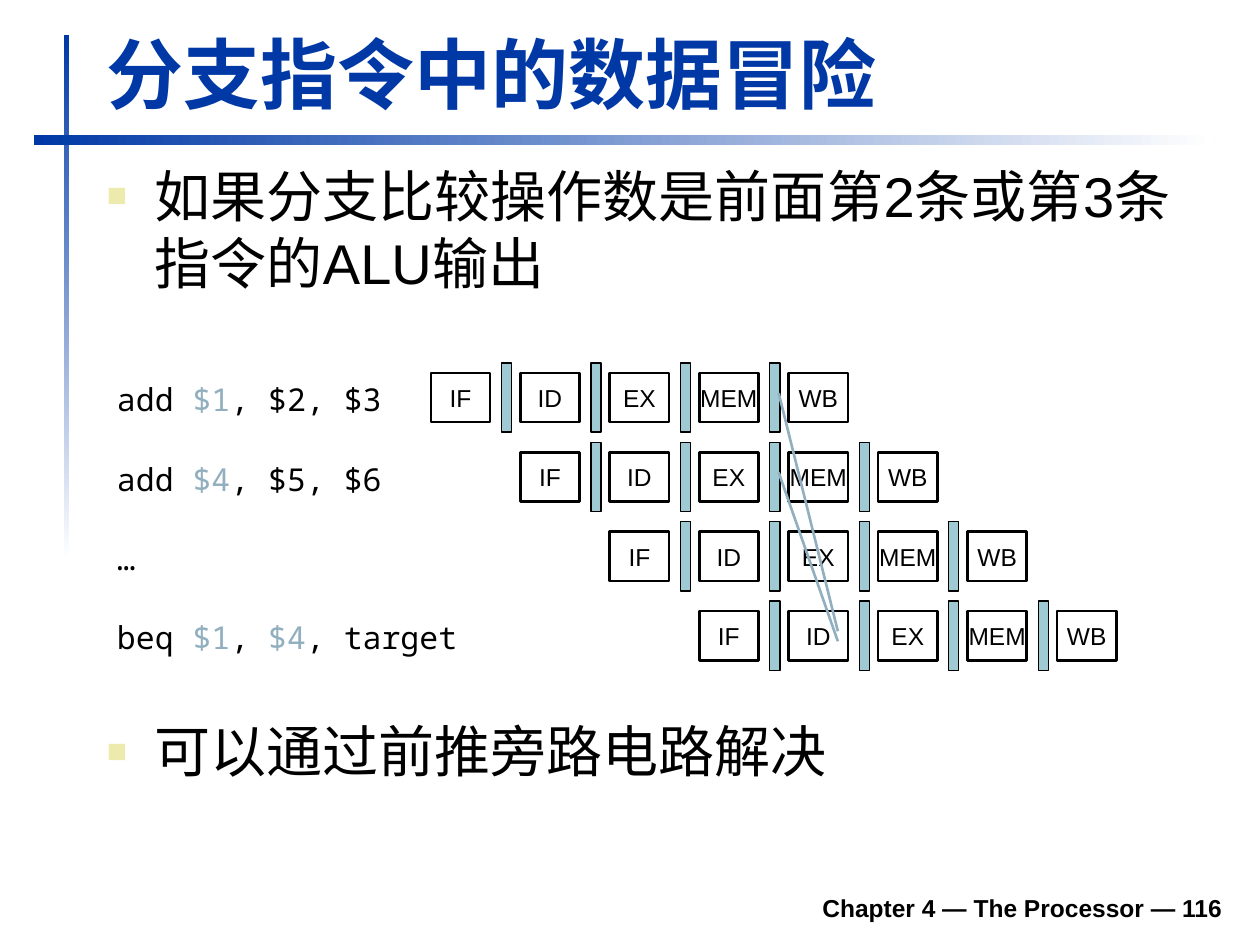
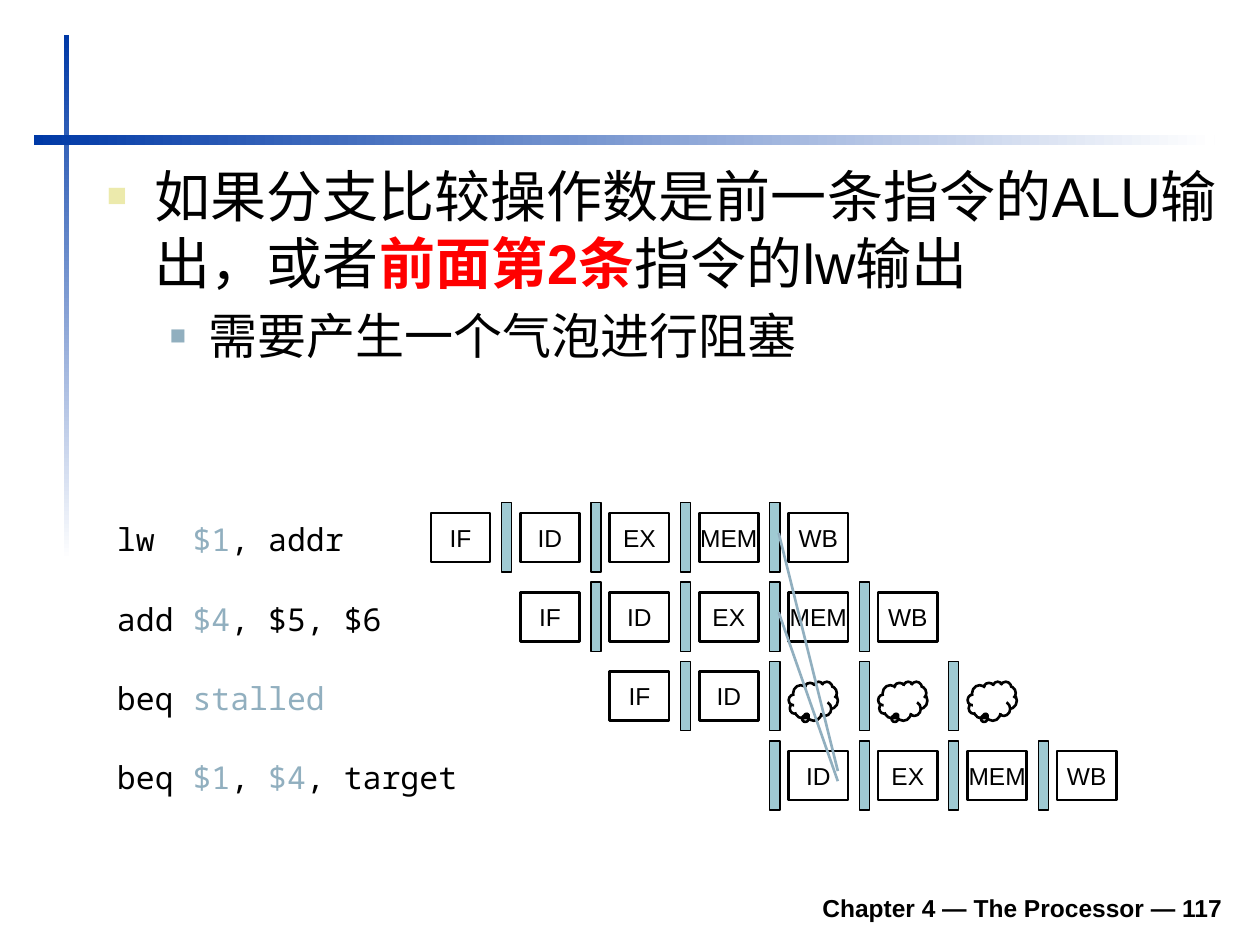
import pptx
import pptx.dml.color
import pptx.enum.shapes
import pptx.enum.text
import pptx.oxml
import pptx.oxml.ns
import pptx.util

COLORS = {"blue": "0039A6", "white": "FFFFFF", "black": "000000", "red": "FF0000",
          "sand": "ECEAAC", "steel": "91AFBF", "latch": "9FCAD3"}
SANS, MONO = "Arial", "Noto Sans Mono"
SLIDE_WIDTH, SLIDE_HEIGHT = 10, 7.5
FOOTER = "Chapter 4 — The Processor — {}"
BUBBLE = "bubble"
FULL = ["IF", "ID", "EX", "MEM", "WB"]

# Text between bars is highlighted. Stages are listed from the row's first column;
# None leaves the stage empty but keeps the latch that follows it.
SLIDES = [
    {"number": 116,
     "title": "分支指令中的数据冒险",
     "bodies": [
         (1.23, 1.34, [(0, "如果分支比较操作数是前面第2条或第3条指令的ALU输出")]),
         (5.64, 0.71, [(0, "可以通过前推旁路电路解决")])],
     "pipeline_top": 2.96,
     "pipeline": [("add |$1|, $2, $3", FULL),
                  ("add |$4|, $5, $6", FULL),
                  ("…", FULL),
                  ("beq |$1|, |$4|, target", FULL)]},
    {"number": 117,
     "title": None,
     "bodies": [
         (1.23, 2.6, [(0, "如果分支比较操作数是前一条指令的ALU输出，或者|前面第2条|指令的lw输出"),
                      (1, "需要产生一个气泡进行阻塞")])],
     "pipeline_top": 4.07,
     "pipeline": [("lw  |$1|, addr", FULL),
                  ("add |$4|, $5, $6", FULL),
                  ("beq |stalled|", ["IF", "ID", BUBBLE, BUBBLE, BUBBLE]),
                  ("beq |$1|, |$4|, target", [None, "ID", "EX", "MEM", "WB"])]},
]

LEVELS = [
    {"size": 32, "margin": 0.38, "hang": 0.38, "bullet": "sand", "percent": 60},
    {"size": 28, "margin": 0.81, "hang": 0.31, "bullet": "steel", "percent": 55},
]
BANDS = [((0.51, 0.28, 0.04, 4.17), 270), ((0.27, 1.07, 9.37, 0.08), 0)]

GRID_LEFT, COLUMN_PITCH, ROW_PITCH = 3.42, 0.71, 0.63
STAGE_WIDTH, STAGE_HEIGHT = 0.47, 0.39
LATCH_OFFSET, LATCH_WIDTH, LATCH_HEIGHT = 0.56, 0.08, 0.55
BUBBLE_WIDTH, BUBBLE_HEIGHT = 0.39, 0.31
CODE_LEFT, CODE_HEIGHT, CHARACTER_WIDTH = 0.83, 0.4, 0.15
FORWARD_COLUMN, FORWARD_TARGET_ROW = 4, 3
FORWARD_END_OFFSETS = [0.16, 0.24]

SHAPES = pptx.enum.shapes.MSO_SHAPE
ALIGN = pptx.enum.text.PP_ALIGN
ANCHOR = pptx.enum.text.MSO_ANCHOR


def color(name):
    return pptx.dml.color.RGBColor.from_string(COLORS[name])


def inches(*lengths):
    return [pptx.util.Inches(length) for length in lengths]


def write(para, text, size, font=SANS, base="black", bold=False, accent="steel", accent_bold=False):
    """Add the text as spans; every second part between bars takes the accent format."""
    for index, part in enumerate(text.split("|")):
        marked = index % 2 == 1
        span = para.add_run()
        span.text = part
        formats = {"name": font, "size": pptx.util.Pt(size),
                   "bold": accent_bold if marked else bold}
        for attribute, value in formats.items():
            setattr(span.font, attribute, value)
        span.font.color.rgb = color(accent if marked else base)


def add_box(page, place, wrap=True, anchor=ANCHOR.TOP):
    frame = page.shapes.add_textbox(*inches(*place)).text_frame
    frame.word_wrap = wrap
    frame.vertical_anchor = anchor
    return frame


def add_outline(page, kind, place, line_width, fill=None):
    shape = page.shapes.add_shape(kind, *inches(*place))
    shape.shadow.inherit = False
    if fill:
        shape.fill.solid()
        shape.fill.fore_color.rgb = color(fill)
    else:
        shape.fill.background()
    shape.line.color.rgb = color("black")
    shape.line.width = pptx.util.Pt(line_width)
    return shape


def add_bands(page):
    for place, angle in BANDS:
        band = page.shapes.add_shape(SHAPES.RECTANGLE, *inches(*place))
        band.shadow.inherit = False
        band.line.fill.background()
        band.fill.gradient()
        band.fill.gradient_angle = angle
        for stop, name in zip(band.fill.gradient_stops, ("blue", "white")):
            stop.color.rgb = color(name)


def add_title(page, title):
    para = add_box(page, (0.75, 0.16, 9.03, 0.83), anchor=ANCHOR.BOTTOM).paragraphs[0]
    write(para, title, 44, base="blue", bold=True)


def add_footer(page, number):
    width = 7.95
    place = (SLIDE_WIDTH - 0.2 - width, SLIDE_HEIGHT - 0.52, width, 0.39)
    para = add_box(page, place, anchor=ANCHOR.BOTTOM).paragraphs[0]
    para.alignment = ALIGN.RIGHT
    write(para, FOOTER.format(number), 14, bold=True)


def set_bullet(para, level):
    properties = para._p.get_or_add_pPr()
    properties.set("marL", str(pptx.util.Inches(level["margin"])))
    properties.set("indent", str(-pptx.util.Inches(level["hang"])))
    namespace = pptx.oxml.ns.nsdecls("a")
    for xml in (
            f'<a:buClr {namespace}><a:srgbClr val="{COLORS[level["bullet"]]}"/></a:buClr>',
            f'<a:buSzPct {namespace} val="{level["percent"] * 1000}"/>',
            f'<a:buFont {namespace} typeface="{SANS}"/>',
            f'<a:buChar {namespace} char="■"/>'):
        properties.append(pptx.oxml.parse_xml(xml))


def add_body(page, top, height, items):
    frame = add_box(page, (0.75, top, 9.05, height))
    for index, (depth, text) in enumerate(items):
        level = LEVELS[depth]
        para = frame.add_paragraph() if index else frame.paragraphs[0]
        para.level = depth
        set_bullet(para, level)
        if index:
            para.space_before = pptx.util.Pt(level["size"] * 0.2)
        write(para, text, level["size"], accent="red", accent_bold=True)


def add_code(page, top, code):
    width = CHARACTER_WIDTH * len(code.replace("|", "")) + 0.22
    frame = add_box(page, (CODE_LEFT, top, width, CODE_HEIGHT), wrap=False)
    write(frame.paragraphs[0], code, 18, font=MONO)


def add_stage(page, left, top, name):
    if name == BUBBLE:
        place = (left, top + STAGE_HEIGHT - BUBBLE_HEIGHT, BUBBLE_WIDTH, BUBBLE_HEIGHT)
        cloud = add_outline(page, SHAPES.CLOUD_CALLOUT, place, 1.5)
        cloud.adjustments[0], cloud.adjustments[1] = -0.13, 0.36
        return
    box = add_outline(page, SHAPES.RECTANGLE, (left, top, STAGE_WIDTH, STAGE_HEIGHT), 1.5)
    frame = box.text_frame
    frame.word_wrap = False
    frame.vertical_anchor = ANCHOR.MIDDLE
    frame.paragraphs[0].alignment = ALIGN.CENTER
    write(frame.paragraphs[0], name, 14)


def add_pipeline(page, grid_top, rows):
    """Start each instruction one column further right than the row above."""
    for row, (code, stages) in enumerate(rows):
        top = grid_top + row * ROW_PITCH
        add_code(page, top + 0.01, code)
        for step, name in enumerate(stages):
            left = GRID_LEFT + (row + step) * COLUMN_PITCH
            if name:
                add_stage(page, left, top, name)
            if step < len(stages) - 1:
                latch_top = top + (STAGE_HEIGHT - LATCH_HEIGHT) / 2
                place = (left + LATCH_OFFSET, latch_top, LATCH_WIDTH, LATCH_HEIGHT)
                add_outline(page, SHAPES.RECTANGLE, place, 0.75, fill="latch")


def add_forwarding(page, grid_top):
    """Join the latches of the first two rows to the ID stage of the branch."""
    column_left = GRID_LEFT + FORWARD_COLUMN * COLUMN_PITCH
    target_top = grid_top + FORWARD_TARGET_ROW * ROW_PITCH
    for row, end_offset in enumerate(FORWARD_END_OFFSETS):
        line = page.shapes.add_connector(
            pptx.enum.shapes.MSO_CONNECTOR.STRAIGHT,
            *inches(column_left - 0.08, grid_top + row * ROW_PITCH + 0.16,
                    column_left + 0.39, target_top + end_offset))
        line.line.color.rgb = color("steel")
        line.line.width = pptx.util.Pt(1.5)
        line._element.spPr.append(
            pptx.oxml.parse_xml(f'<a:effectLst {pptx.oxml.ns.nsdecls("a")}/>'))


def main():
    deck = pptx.Presentation()
    deck.slide_width, deck.slide_height = inches(SLIDE_WIDTH, SLIDE_HEIGHT)
    for content in SLIDES:
        page = deck.slides.add_slide(deck.slide_layouts[6])
        add_bands(page)
        add_footer(page, content["number"])
        if content["title"]:
            add_title(page, content["title"])
        for body in content["bodies"]:
            add_body(page, *body)
        add_pipeline(page, content["pipeline_top"], content["pipeline"])
        add_forwarding(page, content["pipeline_top"])
    deck.save("out.pptx")


if __name__ == "__main__":
    main()
